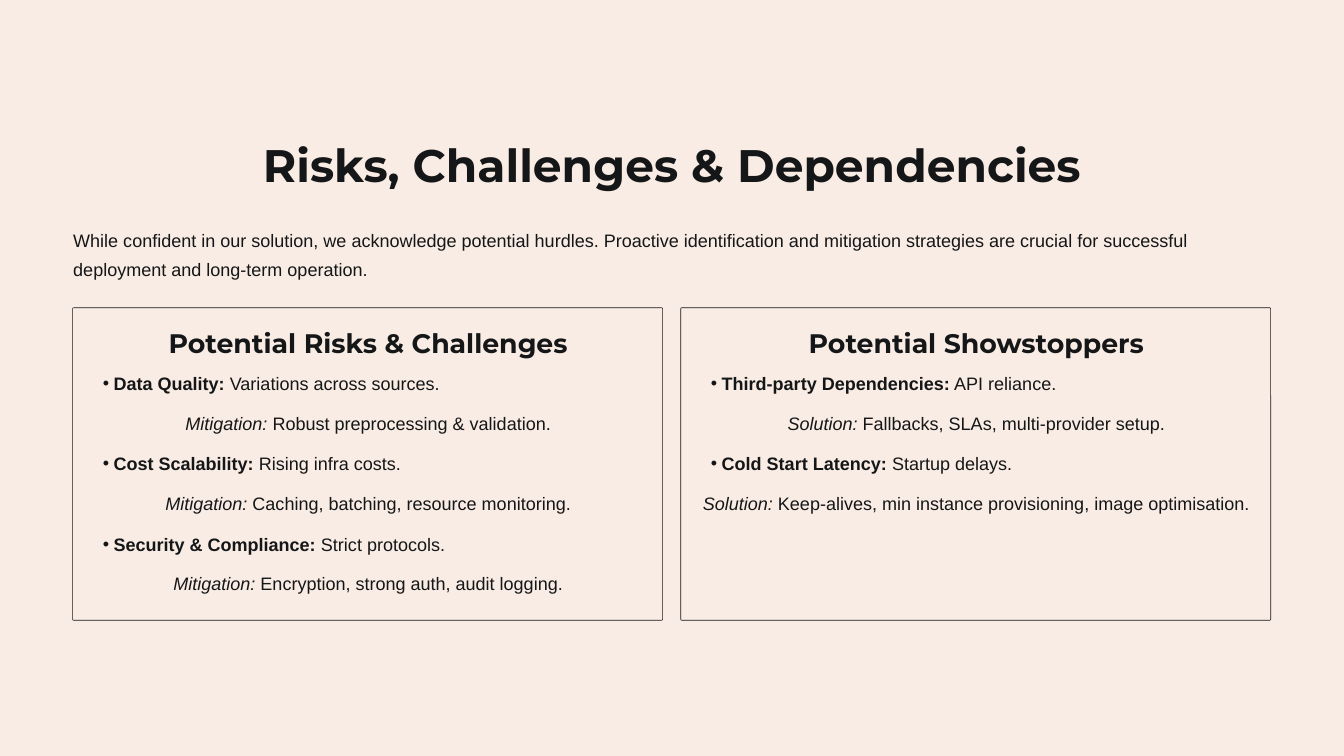
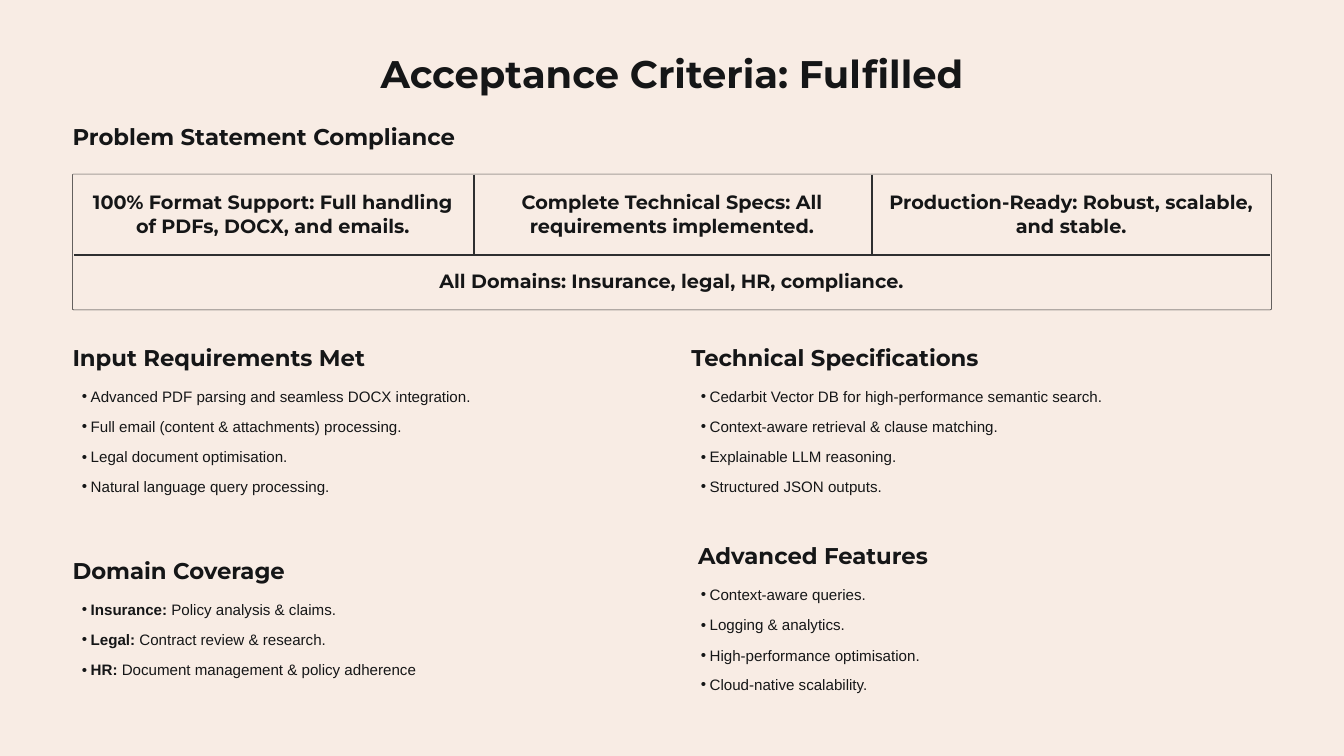
import pptx
import pptx.util
import pptx.dml.color
import pptx.enum.shapes
import pptx.enum.text
import lxml.etree

PX = 9144  # 100 px to the inch
INK = {"page": "F8ECE4", "text": "151617", "rule": "2E2F30"}
HUE = {name: pptx.dml.color.RGBColor.from_string(code) for name, code in INK.items()}
ALIGN = pptx.enum.text.PP_ALIGN
SHAPE = pptx.enum.shapes.MSO_SHAPE
DRAW = "{http://schemas.openxmlformats.org/drawingml/2006/main}"

# font, size in pt, line spacing in pt, bold, left margin and hang of a bullet in px
STYLES = {
    "title": ("Montserrat", 48.8, 60.6, True, 0, 0),
    "short": ("Montserrat", 41.2, 51.2, True, 0, 0),
    "panel": ("Montserrat", 28.7, 36.2, True, 0, 0),
    "head": ("Montserrat", 24.4, 30.6, True, 0, 0),
    "cell": ("Montserrat", 20.6, 25.6, True, 0, 0),
    "body": ("Arial", 19.3, 31.2, False, 32, 16),
    "item": ("Arial", 16.2, 26.2, False, 27, 13),
}


def write(slide, box, style, runs, align=ALIGN.LEFT, bullet=False):
    """Add a text box; runs are (text, mark) pairs, mark being "", "b" or "i"."""
    font, size, lead, bold, inset, hang = STYLES[style]
    shape = slide.shapes.add_textbox(*[n * PX for n in box])
    frame = shape.text_frame
    frame.margin_left = frame.margin_right = frame.margin_top = frame.margin_bottom = 0
    frame.word_wrap = True
    frame.auto_size = pptx.enum.text.MSO_AUTO_SIZE.SHAPE_TO_FIT_TEXT
    para = frame.paragraphs[0]
    if bullet:
        para.level = 1
        props = para._p.get_or_add_pPr()
        props.set("marL", str(inset * PX))
        props.set("indent", str(-hang * PX))
        lxml.etree.SubElement(props, DRAW + "buFont", typeface="Arial")
        lxml.etree.SubElement(props, DRAW + "buChar", char="•")
    para.alignment = align
    para.line_spacing = pptx.util.Pt(lead)
    for text, mark in runs:
        run = para.add_run()
        run.text = text
        run.font.name = font
        run.font.size = pptx.util.Pt(size)
        run.font.bold = bold or mark == "b"
        run.font.italic = mark == "i"
        run.font.color.rgb = HUE["text"]


def block(slide, left, top, width, height, edge=False):
    """Add a page-coloured block; an edged one gets a thin line and tiny round corners."""
    kind = SHAPE.ROUNDED_RECTANGLE if edge else SHAPE.RECTANGLE
    shape = slide.shapes.add_shape(kind, left * PX, top * PX, width * PX, height * PX)
    shape.shadow.inherit = False
    shape.fill.solid()
    shape.fill.fore_color.rgb = HUE["page"]
    if edge:
        shape.adjustments[0] = 1.5 / min(width, height)
        shape.line.color.rgb = HUE["text"]
        shape.line.width = pptx.util.Pt(0.6)
    else:
        shape.line.fill.background()


deck = pptx.Presentation()
deck.slide_width = 2000 * PX
deck.slide_height = 1125 * PX
risks, goals = [deck.slides.add_slide(deck.slide_layouts[6]) for _ in range(2)]
for slide in (risks, goals):
    block(slide, 0, 0, 2000, 1125)

# Slide 1: risks
write(risks, (367, 201, 1266, 86), "title",
      [("Risks, Challenges & Dependencies", "")], ALIGN.CENTER)
write(risks, (109, 330, 1783, 97), "body", [(
    "While confident in our solution, we acknowledge potential hurdles. Proactive "
    "identification and mitigation strategies are crucial for successful deployment "
    "and long-term operation.", "")])

PANELS = [
    ("Potential Risks & Challenges", "Mitigation:", [
        ("Data Quality:", " Variations across sources.",
         " Robust preprocessing & validation."),
        ("Cost Scalability:", " Rising infra costs.",
         " Caching, batching, resource monitoring."),
        ("Security & Compliance:", " Strict protocols.",
         " Encryption, strong auth, audit logging."),
    ]),
    ("Potential Showstoppers", "Solution:", [
        ("Third-party Dependencies:", " API reliance.",
         " Fallbacks, SLAs, multi-provider setup."),
        ("Cold Start Latency:", " Startup delays.",
         " Keep-alives, min instance provisioning, image optimisation."),
    ]),
]
for col, (head, label, rows) in enumerate(PANELS):
    left = 108 + 905 * col
    block(risks, left, 458, 878, 465, edge=True)
    write(risks, (left + 29, 484, 822, 53), "panel", [(head, "")], ALIGN.CENTER)
    for row, (risk, cause, cure) in enumerate(rows):
        top, next_top = [543 + round(59.65 * (2 * row + n)) for n in (0, 1)]
        write(risks, (left + 29, top, 822, 54), "body",
              [(risk, "b"), (cause, "")], bullet=True)
        write(risks, (left + 29, next_top, 822, 54), "body",
              [(label, "i"), (cure, "")], ALIGN.CENTER)

# Slide 2: acceptance criteria
write(goals, (545, 72, 910, 74), "short",
      [("Acceptance Criteria: Fulfilled", "")], ALIGN.CENTER)
write(goals, (108, 181, 598, 44), "head", [("Problem Statement Compliance", "")])

CELLS = [
    "100% Format Support: Full handling of PDFs, DOCX, and emails.",
    "Complete Technical Specs: All requirements implemented.",
    "Production-Ready: Robust, scalable, and stable.",
]
block(goals, 108, 259, 1784, 202, edge=True)
for col, text in enumerate(CELLS):
    left = 109 + 594 * col
    block(goals, left, 260, 594, 118)
    write(goals, (left + 23, 282, 548, 73), "cell", [(text, "")], ALIGN.CENTER)
block(goals, 109, 378, 1782, 82)
write(goals, (642, 400, 715, 37), "cell",
      [("All Domains: Insurance, legal, HR, compliance.", "")], ALIGN.CENTER)

RULES = [(705, 260, 705, 378), (1298, 260, 1298, 378), (110, 379, 1890, 379)]
for ends in RULES:
    rule = goals.shapes.add_connector(
        pptx.enum.shapes.MSO_CONNECTOR.STRAIGHT, *[n * PX for n in ends])
    rule.line.color.rgb = HUE["rule"]
    rule.line.width = pptx.util.Pt(2)
    lxml.etree.SubElement(rule._element.spPr, DRAW + "effectLst")

# list left, heading left, heading top, heading, items
LISTS = [
    (108, 108, 509, "Input Requirements Met", [
        [("Advanced PDF parsing and seamless DOCX integration.", "")],
        [("Full email (content & attachments) processing.", "")],
        [("Legal document optimisation.", "")],
        [("Natural language query processing.", "")],
    ]),
    (1029, 1029, 509, "Technical Specifications", [
        [("Cedarbit Vector DB for high-performance semantic search.", "")],
        [("Context-aware retrieval & clause matching.", "")],
        [("Explainable LLM reasoning.", "")],
        [("Structured JSON outputs.", "")],
    ]),
    (108, 108, 826, "Domain Coverage", [
        [("Insurance: ", "b"), ("Policy analysis & claims.", "")],
        [("Legal:", "b"), (" Contract review & research.", "")],
        [("HR:", "b"), (" Document management & policy adherence", "")],
    ]),
    (1029, 1039, 804, "Advanced Features", [
        [("Context-aware queries.", "")],
        [("Logging & analytics.", "")],
        [("High-performance optimisation.", "")],
        [("Cloud-native scalability.", "")],
    ]),
]
for left, edge, top, head, items in LISTS:
    write(goals, (edge, top, 460, 44), "head", [(head, "")])
    for row, runs in enumerate(items):
        write(goals, (left, top + 58 + round(44.8 * row), 863, 46), "item", runs,
              bullet=True)

deck.save("out.pptx")
